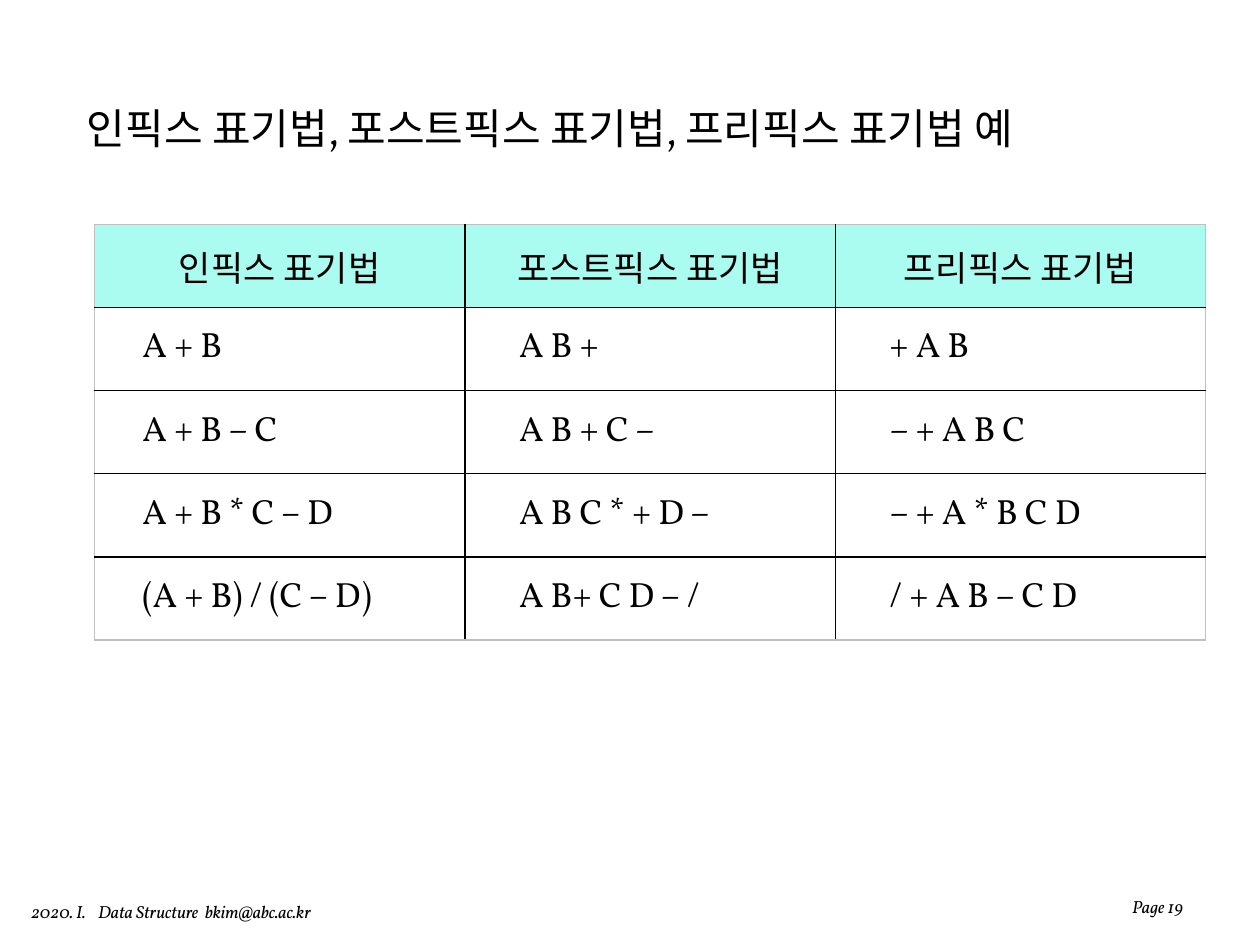
from lxml import etree
from pptx import Presentation, util as u
from pptx.dml.color import RGBColor
from pptx.enum import text
from pptx.oxml import ns

W, H = 10, 7.5
FONT = "Vollkorn"
COLORS = {"ink": "000000", "header": "AAFCF0", "frame": "C0C0C0"}
ROWS = [
    ("인픽스 표기법", "포스트픽스 표기법", "프리픽스 표기법"),
    ("A + B", "A B +", "+ A B"),
    ("A + B – C", "A B + C –", "– + A B C"),
    ("A + B * C – D", "A B C * + D –", "– + A * B C D"),
    ("(A + B) / (C – D)", "A B+ C D – /", "/ + A B – C D"),
]
COL_W, ROW_H = 2.94, 0.66
INDENTS = (0.38, 0.43, 0.43)


def rgb(name):
    """Return a palette colour."""
    return RGBColor.from_string(COLORS[name])


def write(tf, content, size, align=text.PP_ALIGN.LEFT, **font):
    """Put one formatted run into a text frame."""
    p = tf.paragraphs[0]
    p.alignment = align
    r = p.add_run()
    r.text = content
    for key, value in dict(name=FONT, size=u.Pt(size), **font).items():
        setattr(r.font, key, value)
    r.font.color.rgb = rgb("ink")
    return p


def place(sp, left, top, width, height):
    """Move and size a shape in inches."""
    box = dict(left=left, top=top, width=width, height=height)
    for key, value in box.items():
        setattr(sp, key, u.Inches(value))


def add_title(s, content):
    """Fill the title placeholder."""
    sp = s.shapes.title
    place(sp, 0.51, 0.76, 8.9, 0.5)
    tf = sp.text_frame
    tf.auto_size = text.MSO_AUTO_SIZE.NONE
    tf.vertical_anchor = text.MSO_ANCHOR.MIDDLE
    tf.margin_left = u.Inches(0.18)
    write(tf, content, 24)


def add_note(s, box, content, anchor, align, wrap, tabs=()):
    """Add a small italic text box with optional tab stops."""
    tf = s.shapes.add_textbox(*(u.Inches(v) for v in box)).text_frame
    tf.word_wrap = wrap
    tf.vertical_anchor = anchor
    p = write(tf, content, 10, align, italic=True)
    if tabs:
        stops = etree.SubElement(p._p.get_or_add_pPr(), ns.qn("a:tabLst"))
        for pos in tabs:
            etree.SubElement(stops, ns.qn("a:tab"), pos=str(u.Inches(pos)), algn="l")


def set_borders(cell, outer):
    """Draw the four sides, lighter where a side is on the outer frame."""
    pr = cell._tc.get_or_add_tcPr()
    for i, side in enumerate(("lnL", "lnR", "lnT", "lnB")):
        ln = etree.Element(ns.qn("a:" + side), w=str(u.Pt(1)))
        fill = etree.SubElement(ln, ns.qn("a:solidFill"))
        color = COLORS["frame" if outer[i] else "ink"]
        etree.SubElement(fill, ns.qn("a:srgbClr"), val=color)
        pr.insert(i, ln)


def add_notation_table(s, left, top):
    """Add the table of notations with its header row."""
    n_rows, n_cols = len(ROWS), len(ROWS[0])
    table = s.shapes.add_table(
        n_rows, n_cols, u.Inches(left), u.Inches(top),
        u.Inches(COL_W * n_cols), u.Inches(ROW_H * n_rows)).table
    table.horz_banding = False
    for i, row in enumerate(ROWS):
        for j, content in enumerate(row):
            cell = table.cell(i, j)
            cell.vertical_anchor = text.MSO_ANCHOR.MIDDLE
            if i == 0:
                cell.fill.solid()
                cell.fill.fore_color.rgb = rgb("header")
                align = text.PP_ALIGN.CENTER
            else:
                cell.fill.background()
                cell.margin_left = u.Inches(INDENTS[j])
                align = text.PP_ALIGN.LEFT
            write(cell.text_frame, content, 20, align, bold=False)
            set_borders(cell, (j == 0, j == n_cols - 1, i == 0, i == n_rows - 1))


def main():
    """Build the slide."""
    prs = Presentation()
    prs.slide_width, prs.slide_height = u.Inches(W), u.Inches(H)
    s = prs.slides.add_slide(prs.slide_layouts[5])
    add_note(s, (0.15, 7.1, 2.58, 0.27), "2020. I.\tData Structure\tbkim@abc.ac.kr",
             text.MSO_ANCHOR.TOP, text.PP_ALIGN.LEFT, False, (0.53, 1.38))
    add_notation_table(s, 0.75, 1.78)
    add_title(s, "인픽스 표기법, 포스트픽스 표기법, 프리픽스 표기법 예")
    add_note(s, (7.67, 6.83, 1.82, 0.5), "Page 19",
             text.MSO_ANCHOR.BOTTOM, text.PP_ALIGN.RIGHT, True)
    prs.save("out.pptx")


main()
